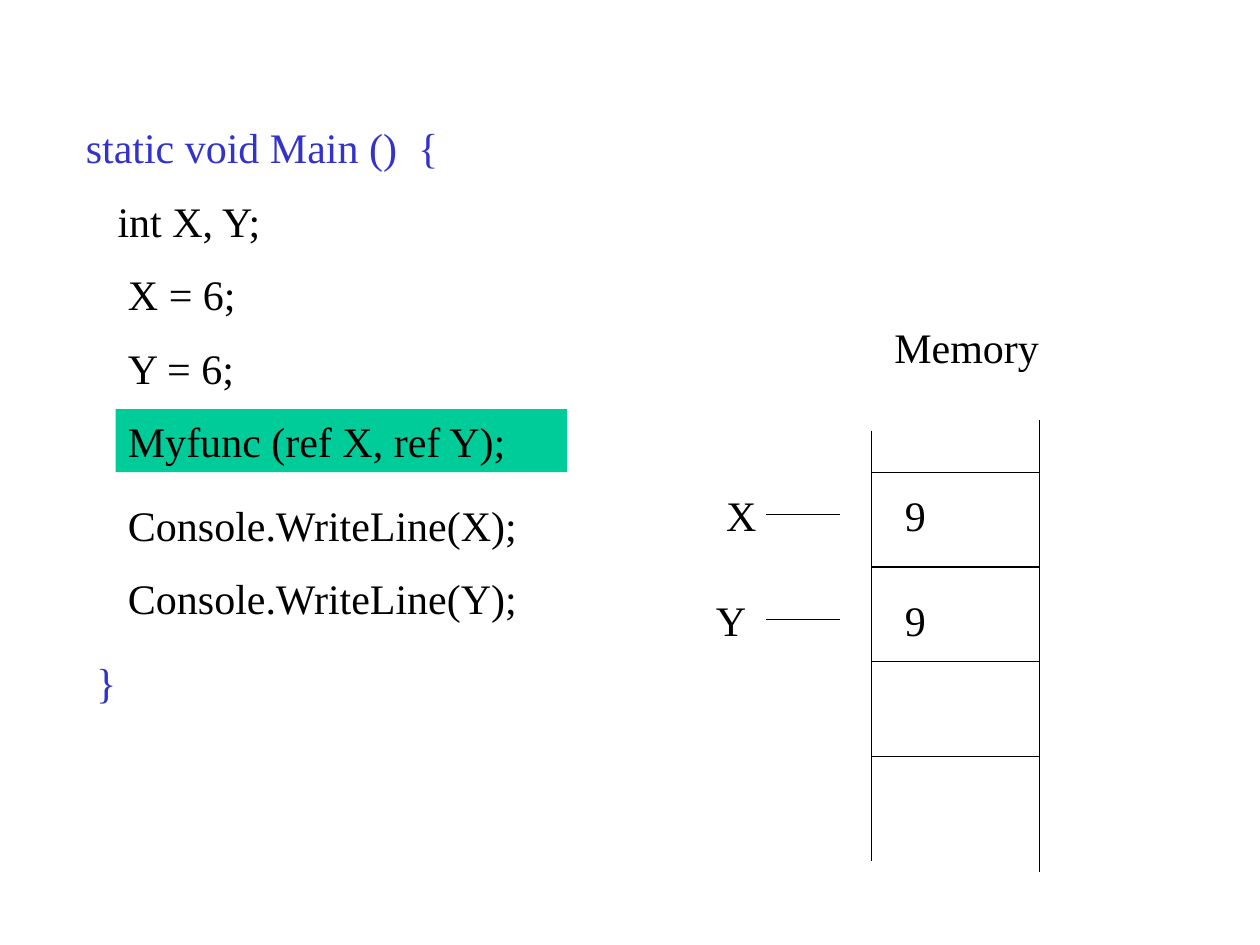
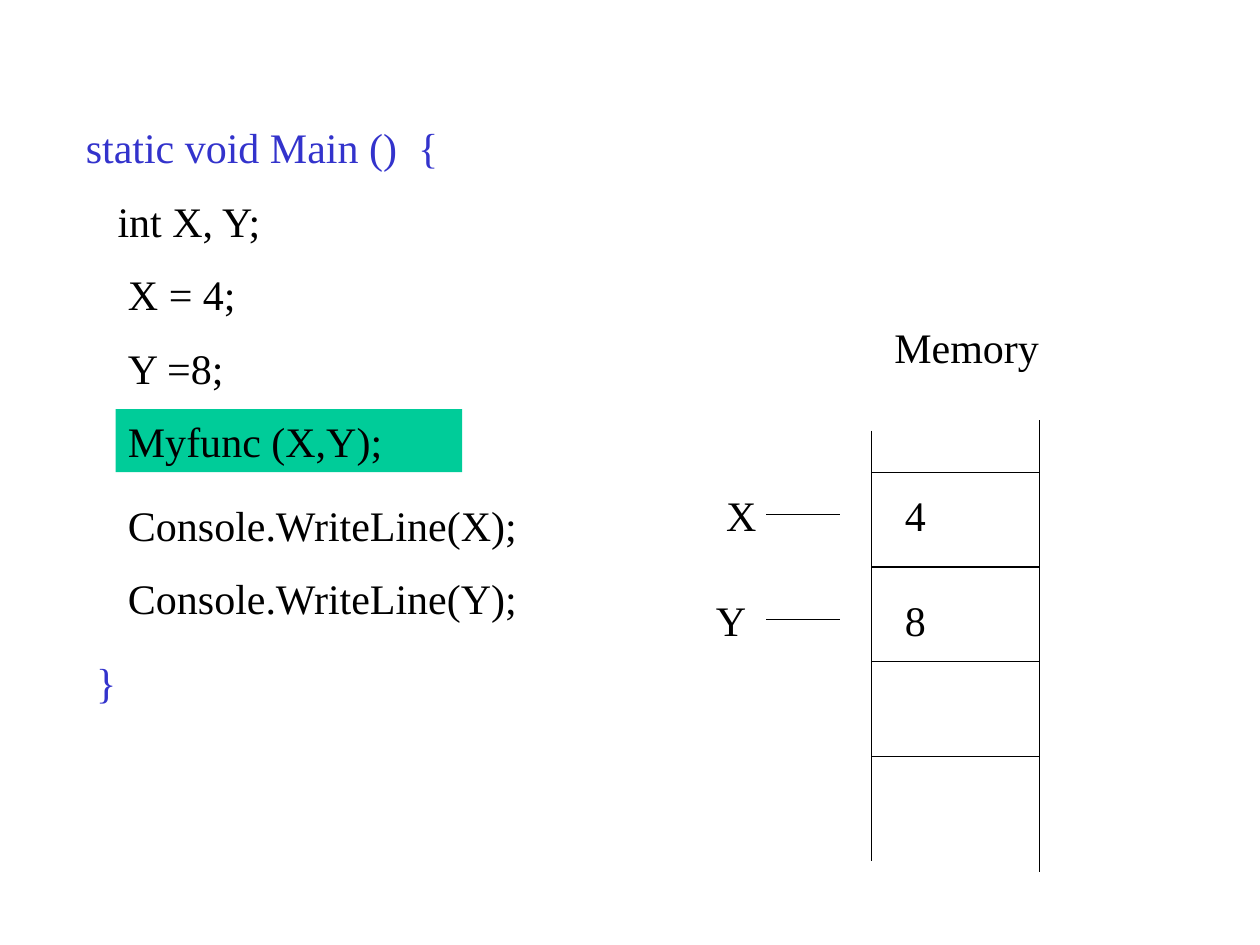
from dataclasses import dataclass

from lxml import etree
from pptx import Presentation, util as u
from pptx.dml.color import RGBColor
from pptx.enum import shapes, text

# Per slide: the two assignments, the highlighted call with its width, the memory values
CALLS = [
    {"assign": ("X = 6;", "Y = 6;"), "call": "Myfunc (ref X, ref Y);",
     "call_width": 9.1, "memory": ("9", "9")},
    {"assign": ("X = 4;", "Y =8;"), "call": "Myfunc (X,Y);",
     "call_width": 6.99, "memory": ("4", "8")},
]
# Variable name, left, label width, top, value width
VARIABLES = [("X", 14.39, 1.48, 9.74, 2.54), ("Y", 14.18, 1.27, 11.85, 2.33)]
MEMORY_TITLE = ("Memory", 17.78, 6.35, 3.6)


@dataclass(frozen=True)
class Theme:
    font: str = "Times New Roman"
    size: float = 24
    space_before: float = 15
    line_width: float = 0.75
    ink: str = "000000"
    keyword: str = "3333CC"
    highlight: str = "00CC99"


THEME = Theme()
BOX_HEIGHT = 1.27
CODE_TOP, CODE_STEP, BLOCK_GAP = 2.33, 1.48, 0.21
RAILS = [(17.57, 8.68, 17.36), (20.96, 8.47, 17.57)]  # x, top, bottom
ROW_TOP, ROW_STEP, ROW_COUNT = 9.52, 1.91, 4
POINTER_START, POINTER_END = 15.45, 16.93
VALUE_LEFT = 17.99


def rgb(value):
    return RGBColor.from_string(value)


def set_all(target, values):
    for name, value in values.items():
        setattr(target, name, value)


def add_text(slide, wording, left, top, width, color=THEME.ink, fill=None):
    """Add one line of text, on a filled rectangle if a fill is given."""
    place = [u.Cm(v) for v in (left, top, width, BOX_HEIGHT)]
    if fill:
        box = slide.shapes.add_shape(shapes.MSO_SHAPE.RECTANGLE, *place)
        box.shadow.inherit = False
        box.fill.solid()
        box.fill.fore_color.rgb = rgb(fill)
        box.line.fill.background()
    else:
        box = slide.shapes.add_textbox(*place)
    frame = box.text_frame
    set_all(frame, {"word_wrap": True, "vertical_anchor": text.MSO_ANCHOR.TOP,
                    "auto_size": text.MSO_AUTO_SIZE.SHAPE_TO_FIT_TEXT})
    line = frame.paragraphs[0]
    set_all(line, {"alignment": text.PP_ALIGN.LEFT,
                   "space_before": u.Pt(THEME.space_before)})
    run = line.add_run()
    run.text = wording
    set_all(run.font, {"name": THEME.font, "size": u.Pt(THEME.size)})
    run.font.color.rgb = rgb(color)
    return box


def add_line(slide, x1, y1, x2, y2):
    line = slide.shapes.add_connector(
        shapes.MSO_CONNECTOR.STRAIGHT, *(u.Cm(v) for v in (x1, y1, x2, y2)))
    line.line.color.rgb = rgb(THEME.ink)
    line.line.width = u.Pt(THEME.line_width)
    properties = line._element.spPr
    etree.SubElement(properties, properties.nsmap["a"].join("{}") + "effectLst")
    return line


def add_code(slide, assign, call, call_width):
    # Wording, left, width, gaps passed so far, format
    keyword = {"color": THEME.keyword}
    code = [
        ("static void Main ()  {", 1.48, 12.7, 0, keyword),
        ("int X, Y;", 2.12, 12.27, 0, {}),
        (assign[0], 2.33, 6.14, 0, {}),
        (assign[1], 2.33, 4.02, 0, {}),
        (call, 2.33, call_width, 0, {"fill": THEME.highlight}),
        ("Console.WriteLine(X);", 2.33, 10.37, 1, {}),
        ("Console.WriteLine(Y);", 2.33, 8.68, 1, {}),
        ("}", 1.69, 3.81, 2, keyword),
    ]
    for i, (wording, left, width, gaps, style) in enumerate(code):
        top = CODE_TOP + i * CODE_STEP + gaps * BLOCK_GAP
        add_text(slide, wording, left, top, width, **style)


def add_memory(slide, values):
    add_text(slide, *MEMORY_TITLE)
    for x, top, bottom in RAILS:
        add_line(slide, x, top, x, bottom)
    for row in range(ROW_COUNT):
        y = ROW_TOP + row * ROW_STEP
        add_line(slide, RAILS[0][0], y, RAILS[1][0], y)
    for (name, left, width, top, value_width), value in zip(VARIABLES, values):
        label = add_text(slide, name, left, top, width)
        add_text(slide, value, VALUE_LEFT, top, value_width)
        middle = top + BOX_HEIGHT / 2
        pointer = add_line(slide, POINTER_START, middle, POINTER_END, middle)
        if abs(left + width - POINTER_START) < 0.01:
            pointer.begin_connect(label, 3)


def main():
    deck = Presentation()
    set_all(deck, {"slide_width": u.Cm(25.4), "slide_height": u.Cm(19.05)})
    for example in CALLS:
        slide = deck.slides.add_slide(deck.slide_layouts[6])
        add_code(slide, example["assign"], example["call"], example["call_width"])
        add_memory(slide, example["memory"])
    deck.save("out.pptx")


if __name__ == "__main__":
    main()
